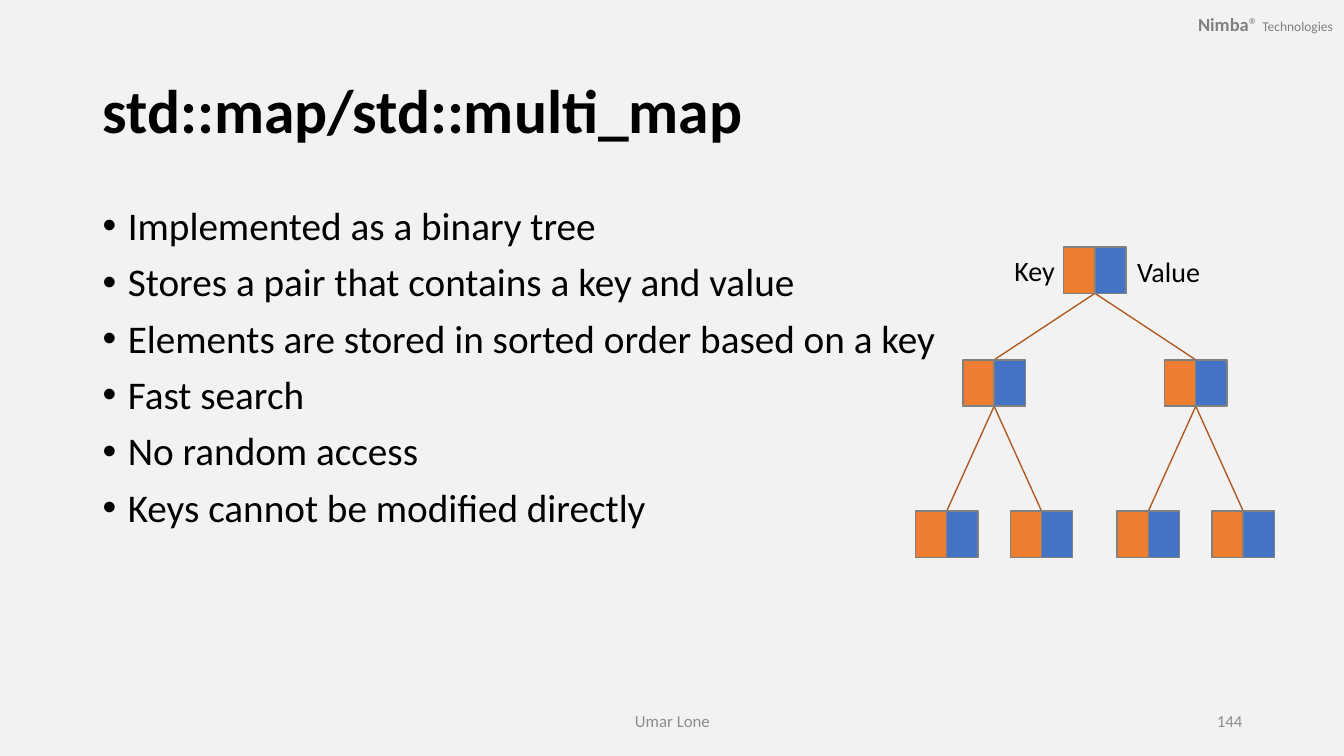
import pptx
import pptx.dml.color
import pptx.enum.shapes
import pptx.enum.text
import pptx.oxml
import pptx.oxml.ns
import pptx.util
from pptx.util import Inches

COLORS = {
    "background": "F2F2F2",
    "text": "000000",
    "footer": "8C8C8C",
    "wordmark": "808080",
    "key": "ED7D31",
    "value": "4472C4",
    "outline": "808080",
    "branch": "AF5C24",
}
FONT = "Calibri"
LEFT = pptx.enum.text.PP_ALIGN.LEFT
CENTER = pptx.enum.text.PP_ALIGN.CENTER
RIGHT = pptx.enum.text.PP_ALIGN.RIGHT
MIDDLE = pptx.enum.text.MSO_ANCHOR.MIDDLE

TITLE = "std::map/std::multi_map"
BULLETS = [
    "Implemented as a binary tree",
    "Stores a pair that contains a key and value",
    "Elements are stored in sorted order based on a key",
    "Fast search",
    "No random access",
    "Keys cannot be modified directly",
]

CELL_WIDTH, CELL_HEIGHT = 0.31, 0.46
LEVEL_TOPS = [0, 1.12, 2.62]
CHILD_OFFSETS = [1, 0.47]


def color(name):
    return pptx.dml.color.RGBColor.from_string(COLORS[name])


def add_text_frame(slide, box, **frame_format):
    frame = slide.shapes.add_textbox(*map(Inches, box)).text_frame
    for name, value in {"word_wrap": True, **frame_format}.items():
        setattr(frame, name, value)
    return frame


def add_run(paragraph, text, size, color_name="text", bold=False):
    run = paragraph.add_run()
    run.text = text
    font_format = {"name": FONT, "size": pptx.util.Pt(size), "bold": bold}
    for name, value in font_format.items():
        setattr(run.font, name, value)
    run.font.color.rgb = color(color_name)


def add_label(slide, box, text, size, color_name="text", bold=False,
              alignment=LEFT, **frame_format):
    paragraph = add_text_frame(slide, box, **frame_format).paragraphs[0]
    paragraph.alignment = alignment
    add_run(paragraph, text, size, color_name, bold)
    return paragraph


def add_wordmark(slide, box):
    frame = add_text_frame(slide, box, vertical_anchor=MIDDLE,
                           margin_left=Inches(0.12), margin_right=Inches(0.12))
    paragraph = frame.paragraphs[0]
    paragraph.alignment = RIGHT
    for text, size, bold in [("Nimba", 13.2, True), ("® ", 13.2, False),
                             ("Technologies", 9.6, False)]:
        add_run(paragraph, text, size, "wordmark", bold)


def add_title(slide, box):
    paragraph = add_label(slide, box, TITLE, 44, bold=True, vertical_anchor=MIDDLE)
    paragraph.line_spacing = 0.9


def add_bullets(slide, box):
    frame = add_text_frame(slide, box)
    for index, text in enumerate(BULLETS):
        paragraph = frame.add_paragraph() if index else frame.paragraphs[0]
        paragraph.line_spacing = 0.9
        paragraph.space_before = pptx.util.Pt(10 if index else 0)
        properties = paragraph._p.get_or_add_pPr()
        properties.set("marL", str(Inches(0.25)))
        properties.set("indent", str(-Inches(0.25)))
        properties.append(pptx.oxml.parse_xml(
            f'<a:buFont {pptx.oxml.ns.nsdecls("a")} typeface="Arial"/>'))
        properties.append(pptx.oxml.parse_xml(
            f'<a:buChar {pptx.oxml.ns.nsdecls("a")} char="•"/>'))
        add_run(paragraph, text, 28)


def add_branch(slide, start, end):
    connector = slide.shapes.add_connector(
        pptx.enum.shapes.MSO_CONNECTOR.STRAIGHT, *map(Inches, start + end))
    connector.line.color.rgb = color("branch")
    connector.line.width = pptx.util.Pt(1)
    connector._element.spPr.append(pptx.oxml.parse_xml(
        f'<a:effectLst {pptx.oxml.ns.nsdecls("a")}/>'))


def add_node(slide, center, top):
    """Draw a key cell and a value cell that meet at center."""
    node = slide.shapes.add_group_shape()
    for left, part in [(center - CELL_WIDTH, "key"), (center, "value")]:
        cell = node.shapes.add_shape(
            pptx.enum.shapes.MSO_SHAPE.RECTANGLE,
            *map(Inches, (left, top, CELL_WIDTH, CELL_HEIGHT)))
        cell.shadow.inherit = False
        cell.fill.solid()
        cell.fill.fore_color.rgb = color(part)
        cell.line.color.rgb = color("outline")
        cell.line.width = pptx.util.Pt(1)


def add_subtree(slide, center, tree_top, level=0):
    top = tree_top + LEVEL_TOPS[level]
    if level < len(CHILD_OFFSETS):
        child_top = tree_top + LEVEL_TOPS[level + 1]
        for side in (-1, 1):
            child = center + side * CHILD_OFFSETS[level]
            add_branch(slide, (center, top + CELL_HEIGHT), (child, child_top))
            add_subtree(slide, child, tree_top, level + 1)
    add_node(slide, center, top)


def add_tree(slide, box):
    left, top, width, _ = box
    center = left + width / 2
    add_subtree(slide, center, top)
    add_label(slide, (center - 1.19, top + 0.02, 0.89, 0.44), "Key", 20,
              alignment=RIGHT)
    add_label(slide, (center + 0.32, top + 0.03, 0.89, 0.44), "Value", 20)


def add_footer(slide, box):
    left, top, width, height = box
    for label_left, label_width, text, alignment in [
            (left + 3.5, 4.5, "Umar Lone", CENTER),
            (left + width - 3, 3, "144", RIGHT)]:
        add_label(slide, (label_left, top, label_width, height), text, 12,
                  "footer", alignment=alignment, vertical_anchor=MIDDLE)


def main():
    presentation = pptx.Presentation()
    presentation.slide_width = Inches(13.33)
    presentation.slide_height = Inches(7.5)
    slide = presentation.slides.add_slide(presentation.slide_layouts[6])
    slide.background.fill.solid()
    slide.background.fill.fore_color.rgb = color("background")

    add_wordmark(slide, (11.41, 0.01, 1.93, 0.45))
    add_title(slide, (0.92, 0.4, 11.5, 1.45))
    add_bullets(slide, (0.92, 2, 11.5, 4.76))
    add_tree(slide, (9.08, 2.45, 3.56, 3.08))
    add_footer(slide, (0.92, 6.95, 11.5, 0.4))
    presentation.save("out.pptx")


if __name__ == "__main__":
    main()
